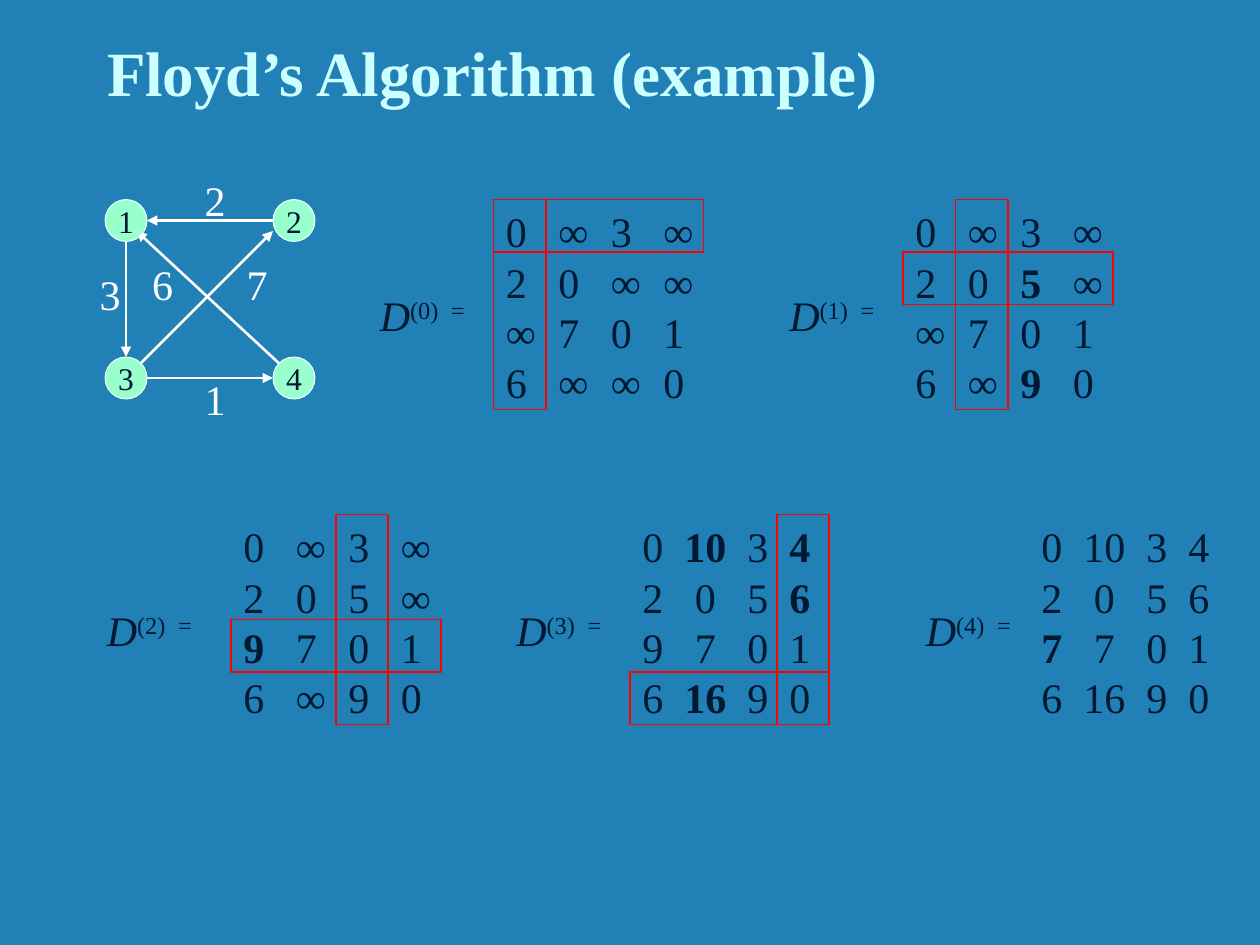
from lxml import etree
from pptx import Presentation
from pptx import util as u
from pptx.dml import color
from pptx.enum import shapes, text
from pptx.oxml import ns

INK, WHITE, RED = "001932", "FFFFFF", "FF0000"
WIDE = [("l", 5), ("l", 10), ("l", 15)]
NARROW = [("ctr", 6), ("l", 10), ("l", 14)]
LABEL_STOPS = [("l", 6.8)]

deck = Presentation()
deck.slide_width, deck.slide_height = u.Inches(10), u.Inches(7.5)
cell = deck.slide_width / 120
page = deck.slides.add_slide(deck.slide_layouts[5])


def paint(target, value):
    if hasattr(target, "solid"):
        target.solid()
        target = target.fore_color
    target.rgb = color.RGBColor.from_string(value)


def write(para, words, size, value, bold=False, stops=()):
    if stops and not para.runs:
        tabs = etree.SubElement(para._p.get_or_add_pPr(), ns.qn("a:tabLst"))
        for align, column in stops:
            etree.SubElement(tabs, ns.qn("a:tab"), pos=str(round(column * cell)), algn=align)
    span = para.add_run()
    span.text = words
    span.font.name, span.font.size, span.font.bold = "Times New Roman", u.Pt(size), bold
    paint(span.font.color, value)
    return span


paint(page.background.fill, "2181B7")

title = page.shapes.title
title.left, title.top, title.width, title.height = [round(n * cell) for n in (9, 0, 111, 11)]
title.text_frame.auto_size = text.MSO_AUTO_SIZE.NONE
title.text_frame.vertical_anchor = text.MSO_ANCHOR.BOTTOM
title.text_frame.paragraphs[0].alignment = text.PP_ALIGN.LEFT
write(title.text_frame.paragraphs[0], "Floyd’s Algorithm (example)", 36, "CCFFFF", True)

matrices = [
    (47, 19, 35, WIDE, ["0 ∞ 3 ∞", "2 0 ∞ ∞", "∞ 7 0 1", "6 ∞ ∞ 0"]),
    (86, 19, 74, WIDE, ["0 ∞ 3 ∞", "2 0 *5 ∞", "∞ 7 0 1", "6 ∞ *9 0"]),
    (22, 49, 9, WIDE, ["0 ∞ 3 ∞", "2 0 5 ∞", "*9 7 0 1", "6 ∞ 9 0"]),
    (60, 49, 48, NARROW, ["0 *10 3 *4", "2 0 5 *6", "9 7 0 1", "6 *16 9 0"]),
    (98, 49, 87, NARROW, ["0 10 3 4", "2 0 5 6", "*7 7 0 1", "6 16 9 0"]),
]
for step, (left, top, label_left, stops, rows) in enumerate(matrices):
    box = page.shapes.add_textbox(*[round(n * cell) for n in (left, top, 21, 20.4)])
    box.text_frame.word_wrap = True
    for index, row in enumerate(rows):
        para = box.text_frame.add_paragraph() if index else box.text_frame.paragraphs[0]
        for column, entry in enumerate(row.split()):
            if column:
                write(para, "\t", 24, INK)
            write(para, entry.lstrip("*"), 24, INK, entry.startswith("*"), stops)

    label = page.shapes.add_textbox(*[round(n * cell) for n in (label_left, top + 8, 12, 6)])
    label.text_frame.word_wrap = True
    para = label.text_frame.paragraphs[0]
    write(para, "D", 24, INK, stops=LABEL_STOPS).font.italic = True
    power = write(para, f"({step})\t=", 24, INK)
    power.font._element.set("baseline", "30000")

    if step < 4:
        offsets = [0] + [column for _, column in stops]
        row_band = (left, top + 5 * step, offsets[-1] + 5, 5)
        column_band = (left + offsets[step], top, 5, 20)
        for place in (row_band, column_band):
            band = page.shapes.add_shape(shapes.MSO_SHAPE.RECTANGLE, *[round(n * cell) for n in place])
            band.shadow.inherit = False
            band.fill.background()
            paint(band.line.fill, RED)
            band.line.width = u.Pt(1)

edges = [
    (12, 23, 12, 34, "3", 8, 25),
    (26, 21, 14, 21, "2", 18, 16),
    (14, 36, 26, 36, "1", 18, 35),
    (13, 35, 26, 22, "7", 22, 24),
    (27, 35, 13, 22, "6", 13, 24),
]
for *ends, weight, left, top in edges:
    arrow = page.shapes.add_connector(shapes.MSO_CONNECTOR.STRAIGHT, *[round(n * cell) for n in ends])
    paint(arrow.line.fill, WHITE)
    arrow.line.width = u.Pt(1.5)
    etree.SubElement(arrow.line._get_or_add_ln(), ns.qn("a:tailEnd"), type="triangle")
    etree.SubElement(arrow._element.spPr, ns.qn("a:effectLst"))
    box = page.shapes.add_textbox(*[round(n * cell) for n in (left, top, 5, 6)])
    box.text_frame.word_wrap = True
    para = box.text_frame.paragraphs[0]
    para.alignment = text.PP_ALIGN.CENTER
    write(para, weight, 24, WHITE)

for index in range(4):
    place = (10 + 16 * (index % 2), 19 + 15 * (index // 2), 4, 4)
    node = page.shapes.add_shape(shapes.MSO_SHAPE.OVAL, *[round(n * cell) for n in place])
    node.shadow.inherit = False
    paint(node.fill, "99FFCC")
    paint(node.line.fill, WHITE)
    node.line.width = u.Pt(0.5)
    node.text_frame.word_wrap = False
    node.text_frame.vertical_anchor = text.MSO_ANCHOR.MIDDLE
    para = node.text_frame.paragraphs[0]
    para.alignment = text.PP_ALIGN.CENTER
    write(para, str(index + 1), 18, INK)

deck.save("out.pptx")
